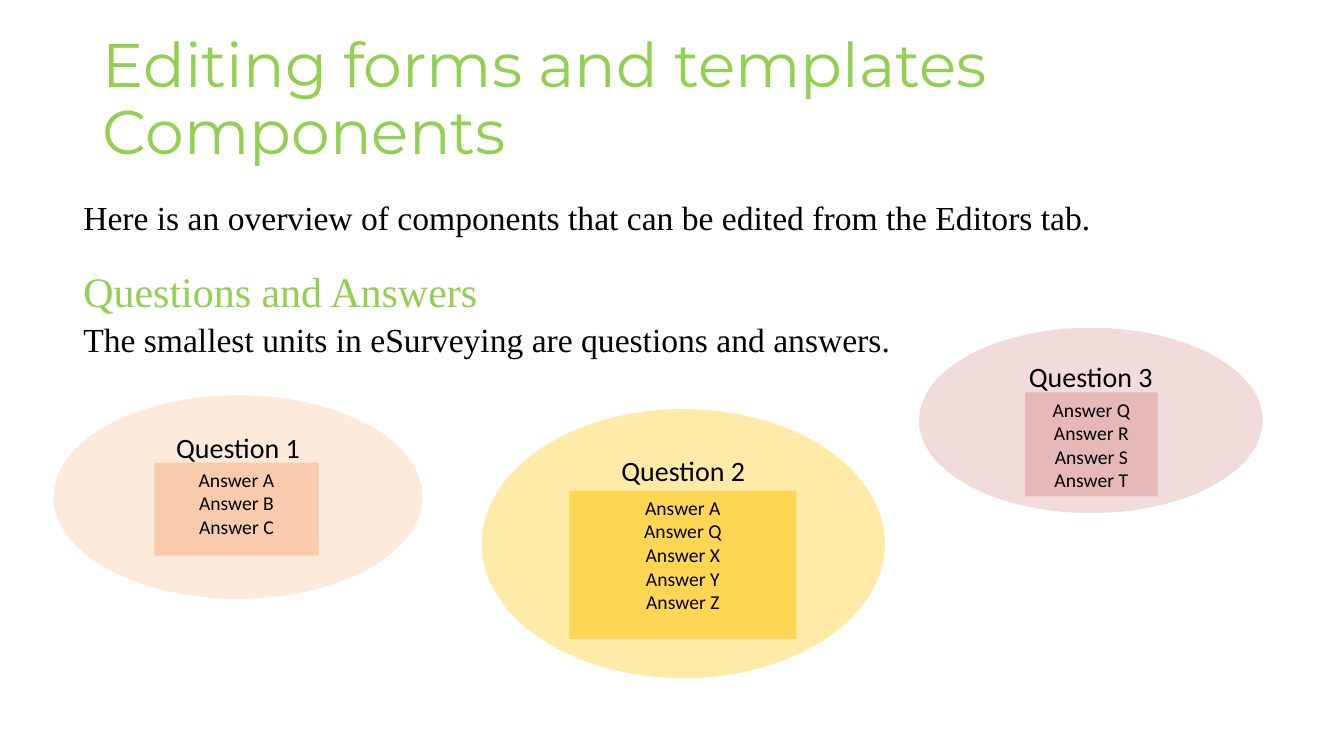
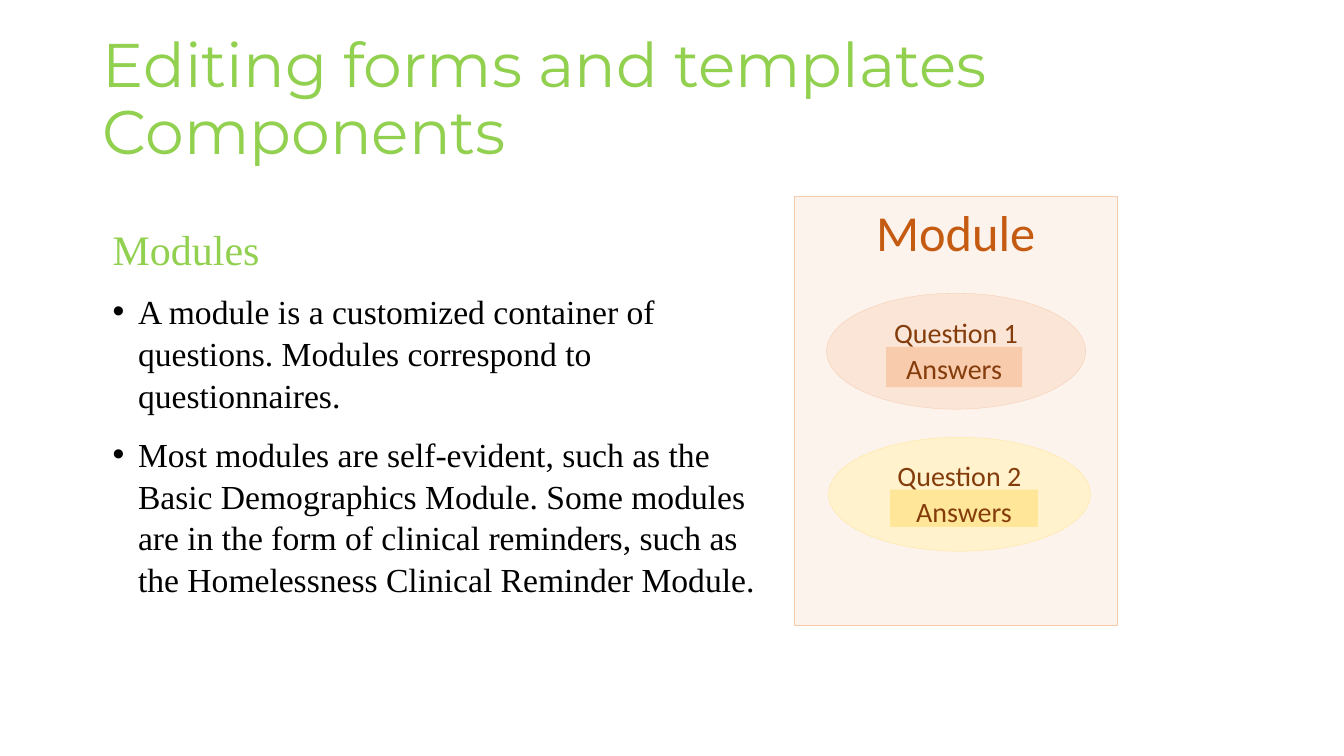
from lxml import etree
from pptx import Presentation
from pptx.dml.color import RGBColor
from pptx.enum.shapes import MSO_SHAPE
from pptx.enum.text import MSO_ANCHOR, MSO_AUTO_SIZE, PP_ALIGN
from pptx.oxml.ns import qn
from pptx.util import Cm, Pt

OVAL, RECT = MSO_SHAPE.OVAL, MSO_SHAPE.RECTANGLE
TOP, MIDDLE = MSO_ANCHOR.TOP, MSO_ANCHOR.MIDDLE
LEFT, CENTER = PP_ALIGN.LEFT, PP_ALIGN.CENTER
FIXED = MSO_AUTO_SIZE.NONE

INK = {
    "green": "92D050", "black": "000000", "brown": "843C0B", "rust": "C55A11",
    "cream": "FDF3ED", "blush": "FDEADA", "peach": "FBE5D6", "coral": "F8CBAD",
    "lemon": "FFEAA7", "gold": "FFD653", "ivory": "FFF2CC", "straw": "FFE699",
    "rose": "F2DCDB", "pink": "E6B9B8",
}
SANS, SERIF, HEAD = "Calibri", "Times New Roman", "Montserrat"
TITLE = "Editing forms and templates \nComponents"
TITLE_BOX = (2.34, 1.24, 29.21, 2.62)
HEADING = dict(size=30, color="green", before=18)
BULLET = dict(left=1.91, hang=0.64, bullet=True, before=6, after=6, spacing=1.04)


def color(name):
    return RGBColor.from_string(INK[name])


def lengths(box):
    return [Cm(part) for part in box]


def write(frame, text, first=False, font=SERIF, size=24, color_name=None,
          color="black", align=LEFT, left=0, hang=0, before=0, after=0,
          spacing=None, bullet=False):
    para = frame.paragraphs[0] if first else frame.add_paragraph()
    para.alignment = align
    para.space_before, para.space_after = Pt(before), Pt(after)
    if spacing:
        para.line_spacing = spacing
    props = para._p.get_or_add_pPr()
    props.set("marL", str(Cm(left)))
    props.set("indent", str(-Cm(hang)))
    if bullet:
        etree.SubElement(props, qn("a:buFont")).set("typeface", "Arial")
        etree.SubElement(props, qn("a:buChar")).set("char", "•")
    for index, line in enumerate(text.split("\n")):
        if index:
            para.add_line_break()
        run = para.add_run()
        run.text = line
        run.font.name, run.font.size = font, Pt(size)
        run.font.color.rgb = RGBColor.from_string(INK[color])


def start(deck):
    slide = deck.slides.add_slide(deck.slide_layouts[5])
    title = slide.shapes.title
    title.left, title.top, title.width, title.height = lengths(TITLE_BOX)
    frame = title.text_frame
    frame.auto_size, frame.vertical_anchor = FIXED, MIDDLE
    write(frame, TITLE, first=True, font=HEAD, size=44, color="green",
          before=6, after=3, spacing=0.9)
    return slide


def body(slide, box, items):
    frame = slide.shapes.add_textbox(*lengths(box)).text_frame
    frame.word_wrap = True
    for index, (text, style) in enumerate(items):
        write(frame, text, first=index == 0, **{"left": 1.27, **style})


def panel(shapes, kind, box, fill, lines, edge=None, **style):
    shape = shapes.add_shape(kind, *lengths(box))
    shape.shadow.inherit = False
    shape.fill.solid()
    shape.fill.fore_color.rgb = color(fill)
    if edge:
        shape.line.color.rgb, shape.line.width = color(edge), Pt(0.25)
    else:
        shape.line.fill.background()
    frame = shape.text_frame
    frame.word_wrap, frame.vertical_anchor = True, TOP
    for index, line in enumerate(lines):
        write(frame, line, first=index == 0, font=SANS, align=CENTER, **style)


def inside(box, part):
    return (box[0] + part[0], box[1] + part[1], *part[2:])


def question(shapes, box, part, name, answers, fills, size=14, edge=None,
             ink="black"):
    panel(shapes, OVAL, box, fills[0], [name], edge=edge, size=20, color=ink)
    panel(shapes, RECT, inside(box, part), fills[1], answers, size=size,
          color=ink)


def module(slide, box):
    shapes = slide.shapes.add_group_shape().shapes
    panel(shapes, RECT, box, "cream", ["Module"], edge="coral", size=36,
          color="rust")
    rows = [
        ("Question 1", (0.81, 2.44, 6.53, 2.92), (1.5, 1.35, 3.43, 1.02),
         ("peach", "coral")),
        ("Question 2", (0.86, 6.07, 6.6, 2.87), (1.55, 1.32, 3.73, 0.94),
         ("ivory", "straw")),
    ]
    for name, oval, part, fills in rows:
        question(shapes, inside(box, oval), part, name, ["Answers"], fills,
                 size=20, edge=fills[1], ink="brown")


def units(deck):
    slide = start(deck)
    body(slide, (0.58, 4.8, 30.96, 13.79), [
        ("Here is an overview of components that can be edited from the Editors tab.",
         dict(before=6, after=6, spacing=1.04)),
        ("Questions and Answers", dict(HEADING, spacing=0.9)),
        ("The smallest units in eSurveying are questions and answers.",
         dict(before=5, spacing=0.9)),
    ])
    cards = [
        ("Question 1", "ABC", (1.35, 9.96, 9.3, 5.13),
         (2.54, 1.7, 4.14, 2.34), ("blush", "coral")),
        ("Question 2", "AQXYZ", (12.14, 10.31, 10.16, 6.78),
         (2.21, 2.06, 5.72, 3.73), ("lemon", "gold")),
        ("Question 3", "QRST", (23.16, 8.26, 8.66, 4.67),
         (2.67, 1.63, 3.35, 2.62), ("rose", "pink")),
    ]
    for name, marks, box, part, fills in cards:
        group = slide.shapes.add_group_shape()
        question(group.shapes, box, part, name,
                 [f"Answer {mark}" for mark in marks], fills)


def modules(deck):
    slide = start(deck)
    body(slide, (1.32, 5.46, 30.2, 13.13), [
        ("Modules", dict(HEADING, after=5, spacing=1.04)),
        ("A module is a customized container of \nquestions. Modules correspond to \n"
         "questionnaires.", BULLET),
        ("Most modules are self-evident, such as the \n"
         "Basic Demographics Module. Some modules \n"
         "are in the form of clinical reminders, such as \n"
         "the Homelessness Clinical Reminder Module.", BULLET),
    ])
    module(slide, (20.02, 4.95, 8.13, 10.8))


def main():
    deck = Presentation()
    deck.slide_width, deck.slide_height = Cm(33.87), Cm(19.05)
    units(deck)
    modules(deck)
    deck.save("out.pptx")


if __name__ == "__main__":
    main()
